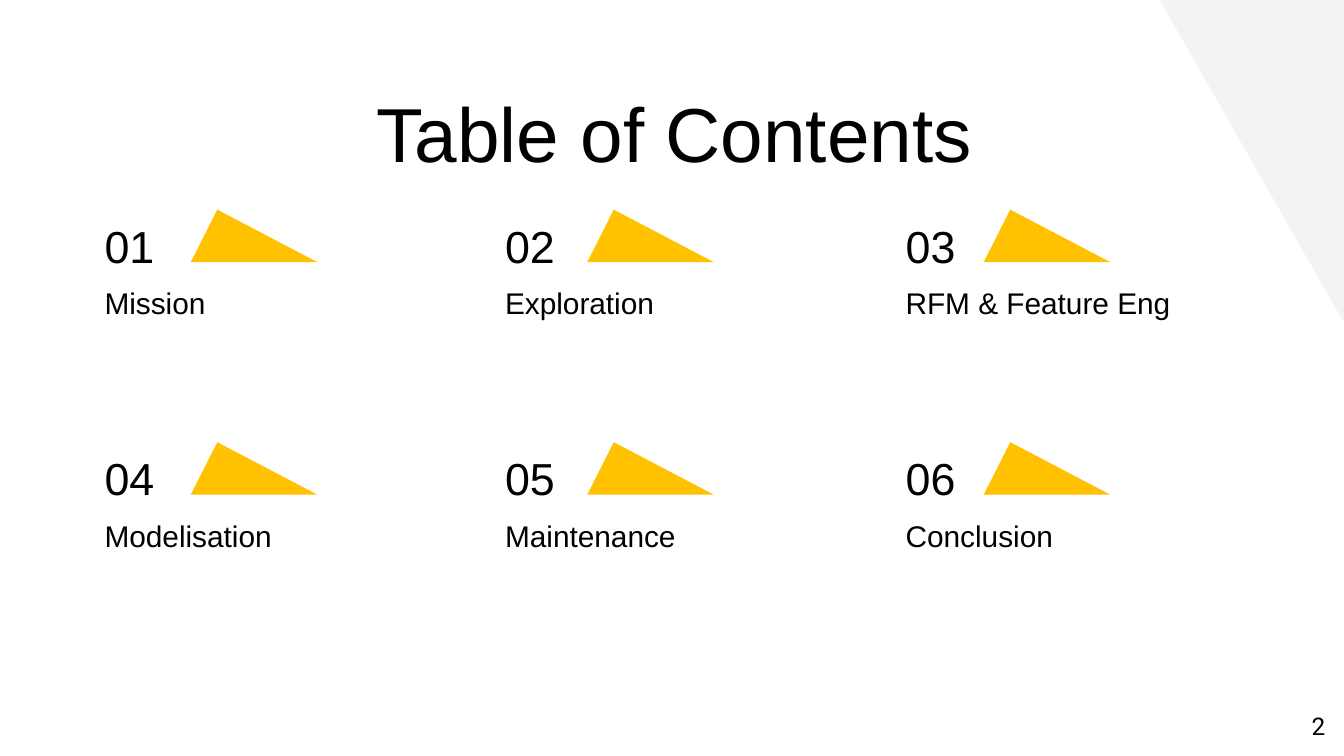
from pptx import Presentation
from pptx.dml.color import RGBColor
from pptx.enum.shapes import MSO_SHAPE as Shape
from pptx.enum.text import MSO_ANCHOR as Anchor, MSO_AUTO_SIZE as AutoSize, PP_ALIGN as Align
from pptx.util import Inches, Pt

COLORS = {"text": "000000", "accent": "FFC100", "corner": "F3F3F3"}
TOPICS = ["Mission", "Exploration", "RFM & Feature Eng",
          "Modelisation", "Maintenance", "Conclusion"]
COLUMNS = 3
COLUMN_STEP, MARKER_STEP, ROW_STEP = 2.98, 2.95, 1.73
SLIDE_WIDTH = 10
SLIDE_HEIGHT = SLIDE_WIDTH * 9 / 16


def place(shape, left, top, width, height):
    shape.left, shape.top = Inches(left), Inches(top)
    shape.width, shape.height = Inches(width), Inches(height)


def write(shape, text, size, font="Arial", align=Align.LEFT, anchor=Anchor.TOP, after=0):
    frame = shape.text_frame
    frame.text = text
    frame.word_wrap = True
    frame.auto_size = AutoSize.NONE
    frame.vertical_anchor = anchor
    frame.margin_left = frame.margin_right = Inches(0.1)
    frame.margin_top = frame.margin_bottom = Inches(0.1)
    paragraph = frame.paragraphs[0]
    paragraph.alignment = align
    paragraph.line_spacing = 1.0
    paragraph.space_before = Pt(0)
    paragraph.space_after = Pt(after)
    style = paragraph.runs[0].font
    style.size, style.name = Pt(size), font
    style.color.rgb = RGBColor.from_string(COLORS["text"])


def add_text(slide, box, text, **style):
    label = slide.shapes.add_textbox(*map(Inches, box))
    write(label, text, **style)


def add_triangle(slide, kind, box, color):
    triangle = slide.shapes.add_shape(kind, *map(Inches, box))
    triangle.shadow.inherit = False
    triangle.fill.solid()
    triangle.fill.fore_color.rgb = RGBColor.from_string(COLORS[color])
    triangle.line.fill.background()
    return triangle


def add_topic(slide, left, top, marker_left, number, topic):
    """Numbered heading with a marker beside it and its topic below."""
    marker = add_triangle(slide, Shape.ISOSCELES_TRIANGLE,
                          (marker_left, top - 0.07, 0.94, 0.39), "accent")
    marker.adjustments[0] = 0.21
    add_text(slide, (left, top, 1.18, 0.39), f"{number:02d}", size=24,
             anchor=Anchor.MIDDLE)
    add_text(slide, (left, top + 0.39, 2.36, 0.39), topic, size=16, after=16)


def add_contents(slide, left, top):
    for index, topic in enumerate(TOPICS):
        row, column = divmod(index, COLUMNS)
        add_topic(slide, left + column * COLUMN_STEP, top + row * ROW_STEP,
                  left + 0.74 + column * MARKER_STEP, index + 1, topic)


def build_contents_slide(deck):
    slide = deck.slides.add_slide(deck.slide_layouts[5])

    # Corner decoration
    corner = add_triangle(slide, Shape.RIGHT_TRIANGLE, (8.63, 0, 1.37, 2.4), "corner")
    corner.rotation = 180

    # Title
    title = slide.shapes.title
    place(title, 0.59, 0.54, 8.86, 0.63)
    write(title, "Table of Contents", size=41, align=Align.CENTER)

    # Topic grid
    add_contents(slide, 0.68, 1.63)

    # Slide number
    add_text(slide, (9.36, 5.19, 0.6, 0.43), "2", size=13, font="Roboto",
             align=Align.RIGHT)


def main():
    deck = Presentation()
    deck.slide_width, deck.slide_height = Inches(SLIDE_WIDTH), Inches(SLIDE_HEIGHT)
    build_contents_slide(deck)
    deck.save("out.pptx")


if __name__ == "__main__":
    main()
